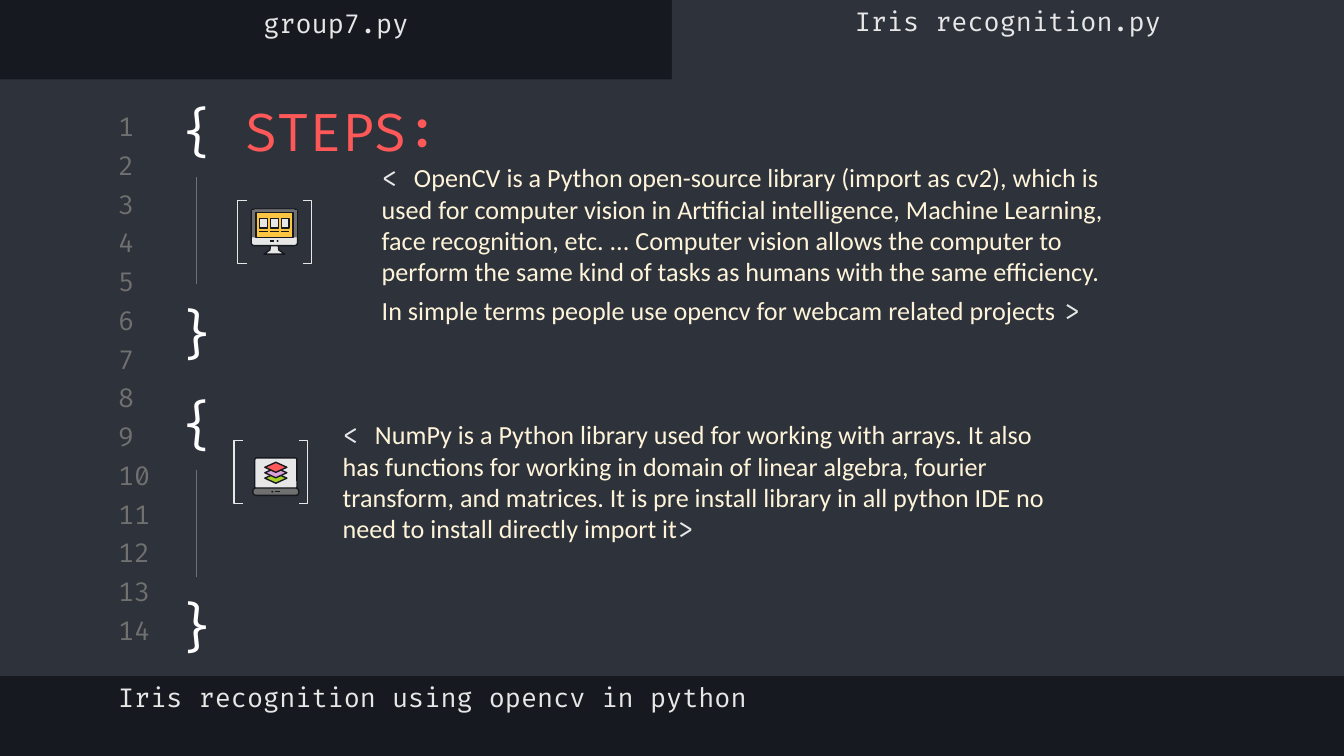
from pptx import Presentation
from pptx.dml.color import RGBColor
from pptx.enum.shapes import MSO_CONNECTOR, MSO_SHAPE
from pptx.enum.text import MSO_ANCHOR, MSO_AUTO_SIZE, PP_ALIGN
from pptx.oxml.ns import qn
from pptx.util import Pt
from lxml.etree import SubElement

INK = RGBColor(0x16, 0x19, 0x1F)
PANEL = RGBColor(0x2E, 0x32, 0x3B)
GREY = RGBColor(0x70, 0x70, 0x70)
LIGHT = RGBColor(0xE7, 0xE7, 0xE7)
WHITE = RGBColor(0xFF, 0xFF, 0xFF)
CREAM = RGBColor(0xFE, 0xF4, 0xD9)
RED = RGBColor(0xFF, 0x58, 0x58)
YELLOW = RGBColor(0xFC, 0xC6, 0x42)
GREEN = RGBColor(0xA5, 0xCF, 0x27)
PURPLE = RGBColor(0xDB, 0xA0, 0xDB)
CODE, PROSE = "Fira Code", "Calibri"

OPENCV = (
    "OpenCV is a Python open-source library (import as cv2), which is used for "
    "computer vision in Artificial intelligence, Machine Learning, face recognition, "
    "etc. ... Computer vision allows the computer to perform the same kind of tasks "
    "as humans with the same efficiency. In simple terms people use opencv for "
    "webcam related projects"
)
NUMPY = (
    "NumPy is a Python library used for working with arrays. It also has functions "
    "for working in domain of linear algebra, fourier transform, and matrices. It is "
    "pre install library in all python IDE no need to install directly import it"
)


class EditorSlide:
    """Code editor style and the slide being drawn."""

    inset = 7.2
    outline = 0.75

    def __init__(self, slide):
        self.slide = slide
        self.shapes = slide.shapes
        slide.background.fill.solid()
        slide.background.fill.fore_color.rgb = INK

    def start_group(self):
        self.shapes = self.slide.shapes.add_group_shape().shapes

    def end_group(self):
        self.shapes = self.slide.shapes

    def paint(self, shape, fill=None, line=None):
        shape.shadow.inherit = False
        if fill is None:
            shape.fill.background()
        else:
            shape.fill.solid()
            shape.fill.fore_color.rgb = fill
        if line is None:
            shape.line.fill.background()
        else:
            shape.line.color.rgb = line
            shape.line.width = Pt(self.outline)
        return shape

    def box(self, kind, left, top, width, height, fill=None, line=None):
        shape = self.shapes.add_shape(kind, Pt(left), Pt(top), Pt(width), Pt(height))
        return self.paint(shape, fill, line)

    def polygon(self, points, fill, line):
        (x, y), *rest = [(Pt(a), Pt(b)) for a, b in points]
        builder = self.shapes.build_freeform(x, y)
        builder.add_line_segments(rest, close=True)
        return self.paint(builder.convert_to_shape(), fill, line)

    def rule(self, x1, y1, x2, y2, color):
        connector = self.shapes.add_connector(
            MSO_CONNECTOR.STRAIGHT, Pt(x1), Pt(y1), Pt(x2), Pt(y2))
        connector.line.color.rgb = color
        connector.line.width = Pt(self.outline)
        SubElement(connector._element.spPr, qn("a:effectLst"))

    def frame(self, shape, anchor=MSO_ANCHOR.MIDDLE, top_inset=inset):
        frame = shape.text_frame
        frame.word_wrap = True
        frame.auto_size = MSO_AUTO_SIZE.NONE
        frame.vertical_anchor = anchor
        frame.margin_left = frame.margin_right = frame.margin_bottom = Pt(self.inset)
        frame.margin_top = Pt(top_inset)
        return frame.paragraphs[0]

    def text(self, words, left, top, width, height, color, size=14,
             align=PP_ALIGN.LEFT, **frame_options):
        shape = self.shapes.add_textbox(Pt(left), Pt(top), Pt(width), Pt(height))
        paragraph = self.frame(shape, **frame_options)
        paragraph.text = words
        paragraph.alignment = align
        paragraph.font.name = CODE
        paragraph.font.size = Pt(size)
        paragraph.font.color.rgb = color

    def placeholder(self, shape, left, top, width, height, runs):
        """Fill a placeholder with (words, font, size, colour) runs, without bullets."""
        shape.left, shape.top = Pt(left), Pt(top)
        shape.width, shape.height = Pt(width), Pt(height)
        paragraph = self.frame(shape)
        paragraph.alignment = PP_ALIGN.LEFT
        paragraph.space_before = Pt(0)
        properties = paragraph._p.get_or_add_pPr()
        properties.set("marL", "0")
        properties.set("indent", "0")
        SubElement(properties, qn("a:buNone"))
        for words, font, size, color in runs:
            run = paragraph.add_run()
            run.text = words
            run.font.name = font
            run.font.size = Pt(size)
            run.font.color.rgb = color

    def bracket_pair(self, left, top):
        self.start_group()
        for kind, x in ((MSO_SHAPE.LEFT_BRACKET, left),
                        (MSO_SHAPE.RIGHT_BRACKET, left + 34.8)):
            self.box(kind, x, top, 4.8, 33.8, line=LIGHT).adjustments[0] = 0
        self.end_group()

    def block_end(self, top):
        self.start_group()
        self.rule(105.3, top, 105.3, top + 57.4, GREY)
        self.text("}", 85.8, top + 59, 39.2, 48.4, WHITE, 28, PP_ALIGN.CENTER,
                  anchor=MSO_ANCHOR.TOP)
        self.end_group()

    def monitor_icon(self, left, top):
        self.start_group()
        middle = left + 12.4
        self.polygon([(middle - 2, top + 19), (middle + 2, top + 19),
                      (middle + 2.4, top + 22), (middle + 5.6, top + 24.2),
                      (middle - 5.6, top + 24.2), (middle - 2.4, top + 22)], LIGHT, INK)
        case = self.box(MSO_SHAPE.ROUNDED_RECTANGLE, left, top, 24.8, 19.6, LIGHT, INK)
        case.adjustments[0] = 0.08
        self.box(MSO_SHAPE.RECTANGLE, left + 0.4, top + 0.6, 24, 14.6, GREY)
        self.box(MSO_SHAPE.RECTANGLE, left + 2.5, top + 1.8, 19.8, 13.4, YELLOW, INK)
        for column in range(3):
            x = left + 4.5 + column * 5.8
            self.box(MSO_SHAPE.RECTANGLE, x, top + 5.2, 4.2, 5, LIGHT, INK)
            self.rule(x - 0.2, top + 12.1, x + 4.4, top + 12.1, INK)
        self.rule(middle - 2.5, top + 17.1, middle, top + 17.1, INK)
        self.box(MSO_SHAPE.OVAL, middle + 1.2, top + 16.6, 1, 1, INK)
        self.end_group()

    def laptop_icon(self, left, top):
        self.start_group()
        middle = left + 12.3
        lid = self.box(MSO_SHAPE.ROUNDED_RECTANGLE, left + 1, top, 22.6, 16.6, LIGHT, INK)
        lid.adjustments[0] = 0.06
        for layer, color in enumerate((GREEN, PURPLE, RED)):
            y = top + 10.9 - layer * 2.9
            self.polygon([(middle, y - 2.7), (middle + 5.9, y), (middle, y + 2.7),
                          (middle - 5.9, y)], color, INK)
        base = self.box(MSO_SHAPE.ROUNDED_RECTANGLE, left, top + 16.1, 24.6, 4, GREY, INK)
        base.adjustments[0] = 0.4
        self.rule(middle - 0.5, top + 18.1, middle + 2.4, top + 18.1, INK)
        self.box(MSO_SHAPE.OVAL, middle - 2.4, top + 17.6, 1, 1, INK)
        self.end_group()


def main():
    presentation = Presentation()
    presentation.slide_width, presentation.slide_height = Pt(720), Pt(405)
    slide = presentation.slides.add_slide(presentation.slide_layouts[3])
    title, opencv, numpy = slide.placeholders
    editor = EditorSlide(slide)

    # Editor panel and active tab, sent behind the placeholders
    panels = [editor.box(MSO_SHAPE.RECTANGLE, 0, 42.5, 720, 319.7, PANEL),
              editor.box(MSO_SHAPE.RECTANGLE, 360, 0, 360, 46.8, PANEL)]
    for panel in panels:
        slide.shapes._spTree.insert(2, panel._element)

    # Line numbers
    for index in range(14):
        editor.text(str(index + 1), 56.2, 59 + index * 20.75, 33.8, 17.3, GREY)

    # Title and descriptions
    editor.placeholder(title, 90, 49, 319.7, 41.8, [
        ("{", CODE, 28, WHITE), (" STEPS:", CODE, 28, RED)])
    opening, closing = ("< ", CODE, 14, LIGHT), (">", CODE, 14, LIGHT)
    editor.placeholder(opencv, 197.3, 83.5, 404.6, 95, [
        opening, (OPENCV, PROSE, 14, CREAM), (" ", PROSE, 18, INK), closing])
    editor.placeholder(numpy, 176.4, 206, 404.6, 103.7, [
        opening, (NUMPY, PROSE, 14, CREAM), closing])

    # Code block braces
    editor.text("{", 90, 206, 319.7, 41.8, WHITE, 28)
    for top in (95, 252):
        editor.block_end(top)

    # Icons in square brackets
    editor.monitor_icon(134.6, 112)
    editor.bracket_pair(127.3, 107.3)
    editor.laptop_icon(135.5, 245.3)
    editor.bracket_pair(125.3, 236)

    # Tab names and status bar
    for words, left, top, width, align in (
            ("group7.py", 0, 4.2, 360, PP_ALIGN.CENTER),
            ("Iris recognition.py", 360, 2.7, 360, PP_ALIGN.CENTER),
            ("Iris recognition using opencv in python", 56.2, 365.2, 383, PP_ALIGN.LEFT)):
        editor.text(words, left, top, width, 28, LIGHT, align=align,
                    anchor=MSO_ANCHOR.TOP, top_inset=0)

    presentation.save("out.pptx")


if __name__ == "__main__":
    main()
